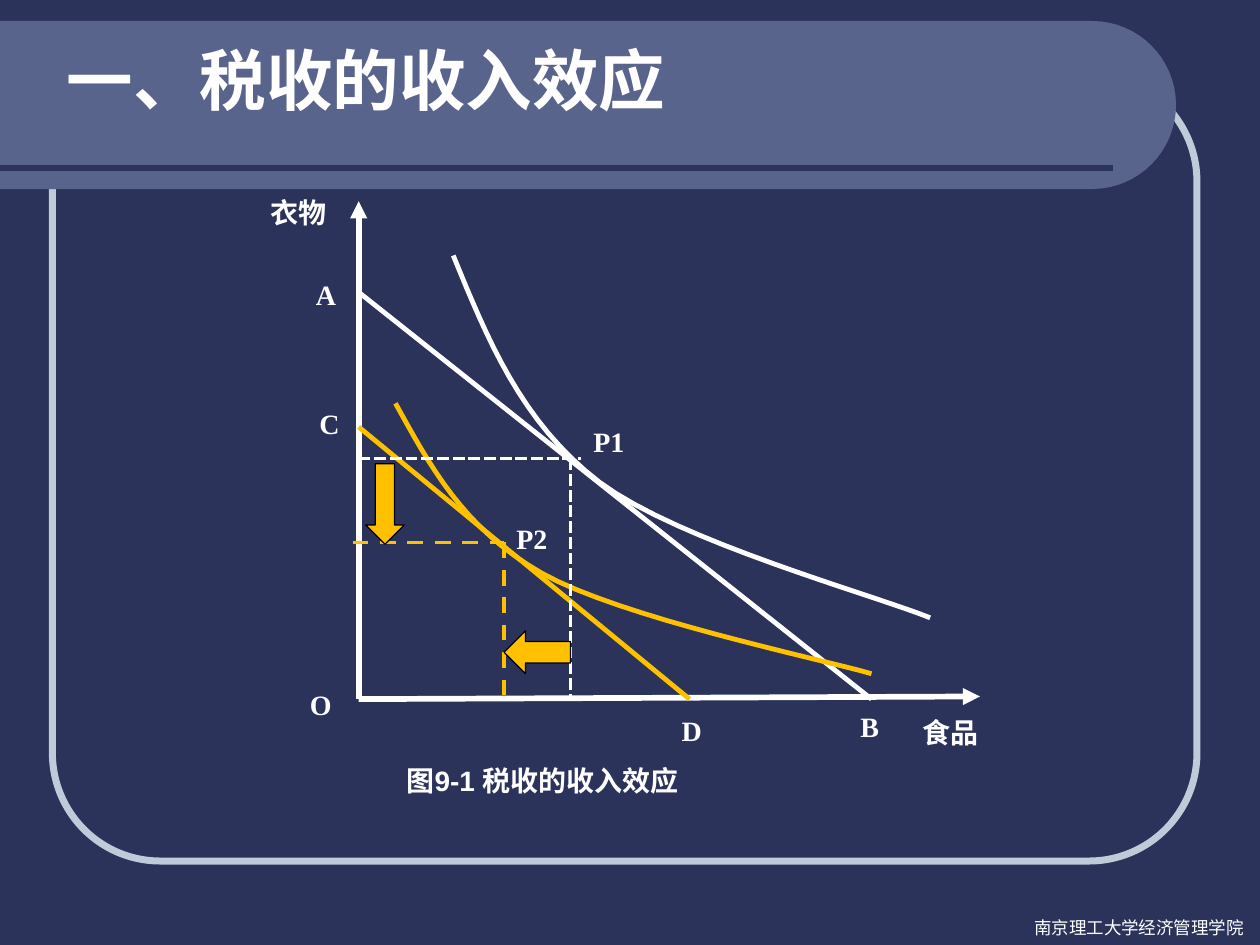
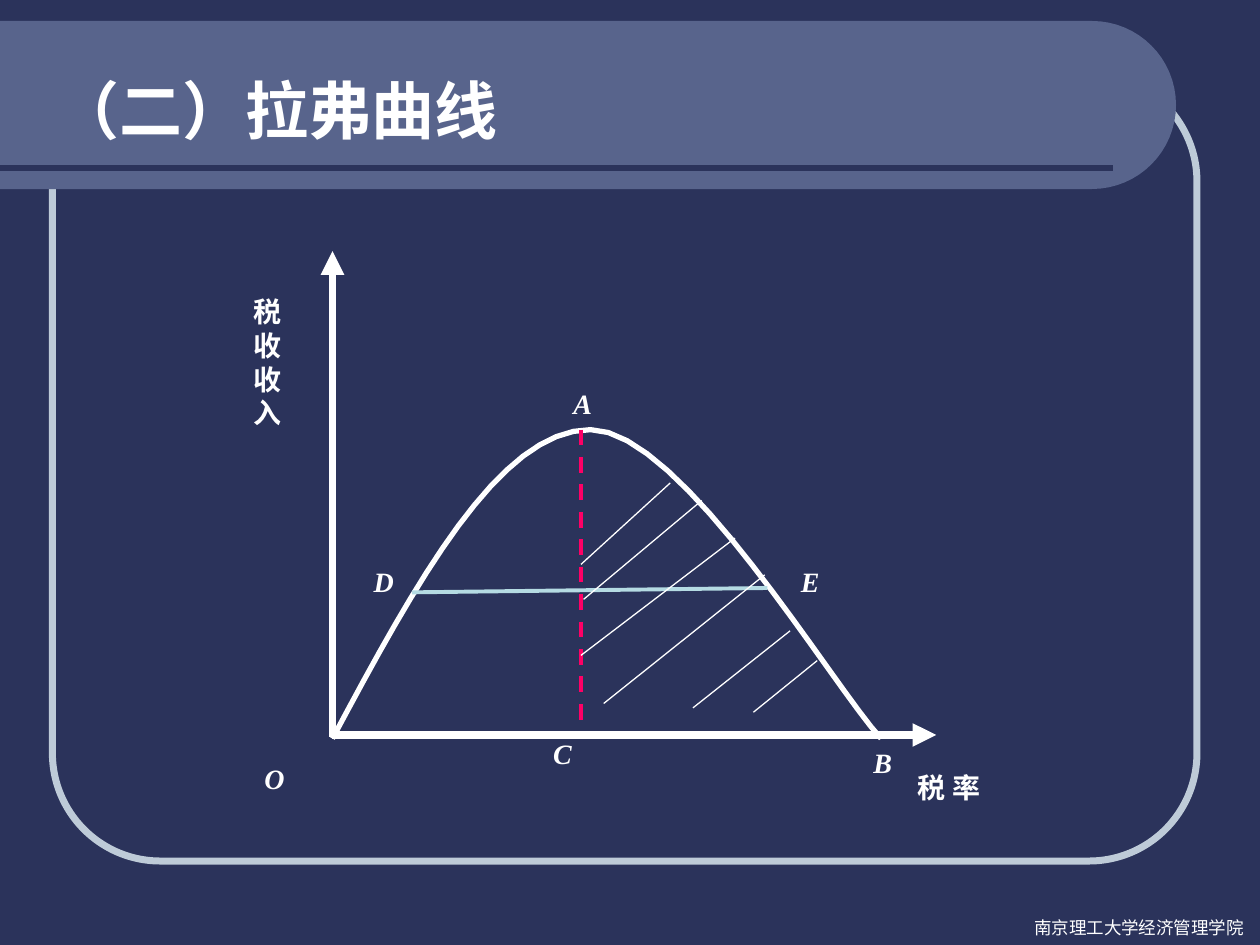
from dataclasses import dataclass

from lxml.etree import SubElement
from pptx import Presentation
from pptx.dml.color import RGBColor
from pptx.enum.dml import MSO_LINE
from pptx.enum.shapes import MSO_CONNECTOR, MSO_SHAPE
from pptx.enum.text import MSO_ANCHOR, PP_ALIGN
from pptx.oxml.ns import qn
from pptx.slide import Slide
from pptx.util import Pt

NAVY = RGBColor(0x2B, 0x33, 0x5B)
SLATE = RGBColor(0x58, 0x64, 0x8C)
MIST = RGBColor(0xBE, 0xCB, 0xD8)
WHITE = RGBColor(0xFF, 0xFF, 0xFF)
BLACK = RGBColor(0x00, 0x00, 0x00)
GOLD = RGBColor(0xFF, 0xC0, 0x00)
AQUA = RGBColor(0xB5, 0xDB, 0xE3)
PINK = RGBColor(0xFF, 0x00, 0x66)

SANS = "Arial"
SERIF = "Times New Roman"
STEPS = 16  # straight pieces per curve segment

Point = tuple[float, float]
Box = tuple[float, float, float, float]


@dataclass
class Label:
    text: str
    box: Box
    size: float = 16
    font: str = SERIF
    bold: bool = True
    slant: bool = False
    align: PP_ALIGN = PP_ALIGN.JUSTIFY
    anchor: MSO_ANCHOR = MSO_ANCHOR.TOP


@dataclass
class Line:
    start: Point
    end: Point
    color: RGBColor = WHITE
    width: float = 2.25
    dash: MSO_LINE | None = None
    arrow: bool = False


@dataclass
class Curve:
    knots: list[Point]  # start, then two handles and an end per segment
    color: RGBColor = WHITE
    width: float = 2.75


@dataclass
class Arrow:
    kind: MSO_SHAPE
    box: Box


def draw_label(slide: Slide, label: Label) -> None:
    frame = slide.shapes.add_textbox(*map(Pt, label.box)).text_frame
    frame.word_wrap = True
    frame.vertical_anchor = label.anchor
    para = frame.paragraphs[0]
    para.text = label.text
    para.alignment = label.align
    font = para.font
    font.name, font.size = label.font, Pt(label.size)
    font.bold, font.italic = label.bold, label.slant
    font.color.rgb = WHITE


def draw_line(slide: Slide, line: Line) -> None:
    shape = slide.shapes.add_connector(
        MSO_CONNECTOR.STRAIGHT, *map(Pt, line.start + line.end))
    shape.line.color.rgb = line.color
    shape.line.width = Pt(line.width)
    if line.dash:
        shape.line.dash_style = line.dash
    props = shape._element.spPr
    if line.arrow:
        SubElement(props.find(qn("a:ln")), qn("a:tailEnd"), type="triangle")
    SubElement(props, qn("a:effectLst"))


def trace(knots: list[Point]) -> list[Point]:
    """Points along a chain of cubic curves, without the first knot."""
    points = []
    for i in range(0, len(knots) - 1, 3):
        for step in range(1, STEPS + 1):
            t = step / STEPS
            s = 1 - t
            parts = (s**3, 3 * s * s * t, 3 * s * t * t, t**3)
            points.append(tuple(
                sum(part * knot[axis] for part, knot in zip(parts, knots[i:i + 4]))
                for axis in (0, 1)))
    return points


def draw_path(slide: Slide, points: list[Point], close: bool):
    first, *rest = [(Pt(x), Pt(y)) for x, y in points]
    maker = slide.shapes.build_freeform(*first)
    maker.add_line_segments(rest, close=close)
    shape = maker.convert_to_shape()
    shape.shadow.inherit = False
    return shape


def draw_curve(slide: Slide, curve: Curve) -> None:
    shape = draw_path(slide, [curve.knots[0], *trace(curve.knots)], False)
    shape.fill.background()
    shape.line.color.rgb = curve.color
    shape.line.width = Pt(curve.width)


def draw_arrow(slide: Slide, arrow: Arrow) -> None:
    shape = slide.shapes.add_shape(arrow.kind, *map(Pt, arrow.box))
    shape.shadow.inherit = False
    shape.fill.solid()
    shape.fill.fore_color.rgb = GOLD
    shape.line.color.rgb = BLACK
    shape.line.width = Pt(0.75)


DRAW = {Label: draw_label, Line: draw_line, Curve: draw_curve, Arrow: draw_arrow}


def draw_base(slide: Slide) -> None:
    """Background, frame, title band and footer shared by the slides."""
    back = slide.background.fill
    back.solid()
    back.fore_color.rgb = NAVY

    frame = slide.shapes.add_shape(
        MSO_SHAPE.ROUNDED_RECTANGLE, *map(Pt, (30, 42, 654, 450)))
    frame.adjustments[0] = 0.137
    frame.shadow.inherit = False
    frame.fill.background()
    frame.line.color.rgb = MIST
    frame.line.width = Pt(4)

    cap = [(624, 12), (650.5, 12), (672, 33.5), (672, 60),
           (672, 86.5), (650.5, 108), (624, 108)]
    band = draw_path(slide, [(0, 12), cap[0], *trace(cap), (0, 108)], True)
    band.fill.solid()
    band.fill.fore_color.rgb = SLATE
    band.line.fill.background()

    draw_line(slide, Line((0, 96), (636, 96), NAVY, 3))
    draw_label(slide, Label("南京理工大学经济管理学院", (584, 520.5, 136, 19.5),
                            10, SANS, bold=False, align=PP_ALIGN.LEFT))


def title(text: str, box: Box, size: float, anchor: MSO_ANCHOR) -> Label:
    return Label(text, box, size, SANS, align=PP_ALIGN.LEFT, anchor=anchor)


# Income effect: budget lines AB and CD with their indifference curves
INCOME = [
    title("一、税收的收入效应", (31, 0, 648, 90), 38, MSO_ANCHOR.MIDDLE),
    Label("食品", (520, 405.5, 104, 39)),
    Label("衣物", (147.5, 108, 63.5, 65)),
    Label("P1", (332, 239, 37.5, 24)),
    Label("P2", (288, 294.5, 62.5, 31.5)),
    Label("A", (173.5, 155, 33, 22)),
    Label("B", (484.5, 402, 29.5, 45)),
    Label("C", (175.5, 229, 31, 33)),
    Label("D", (382.5, 404, 30, 33)),
    Label("O", (170, 389.5, 62.5, 39)),
    Label("图9-1 税收的收入效应", (222.5, 432.5, 175, 26.5), font=SANS,
          align=PP_ALIGN.CENTER, anchor=MSO_ANCHOR.MIDDLE),
    # axes
    Line((205, 399.5), (205, 115), width=3.25, arrow=True),
    Line((205, 399.5), (560, 398), width=3.25, arrow=True),
    # before tax
    Line((205, 167), (498, 399.5), width=2.75),
    Curve([(259, 146), (278.5, 193.5), (297.5, 241), (342.5, 275.5),
           (388, 309.5), (499.5, 340), (531.5, 353)]),
    # after tax
    Line((205, 244), (394, 399.5), GOLD, 2.75),
    Curve([(226, 230.5), (245.5, 265.5), (264, 301.5), (309.5, 327.5),
           (355, 353), (466.5, 376), (498, 385)], GOLD),
    # guides to the axes
    Line((201.5, 310), (288, 310), GOLD, dash=MSO_LINE.DASH),
    Line((288, 310), (288, 401.5), GOLD, dash=MSO_LINE.DASH),
    Line((205, 262), (332, 262), dash=MSO_LINE.SQUARE_DOT),
    Line((326, 262), (326, 399.5), dash=MSO_LINE.SQUARE_DOT),
    Arrow(MSO_SHAPE.LEFT_ARROW, (288, 360.5, 38, 24.5)),
    Arrow(MSO_SHAPE.DOWN_ARROW, (209, 265, 22, 46)),
]

# Hatching right of the peak
HATCH = [
    ((333.5, 342.5), (401, 286)),
    ((332, 374.5), (420, 307.5)),
    ((345, 402), (437, 328.5)),
    ((396, 404.5), (451.5, 360.5)),
    ((430.5, 407), (467, 377.5)),
    ((332, 322.5), (383, 276)),
]

# Tax revenue against tax rate
LAFFER = [
    title("（二）拉弗曲线", (25, 37.5, 561.5, 51), 36, MSO_ANCHOR.TOP),
    Curve([(190, 422), (237.5, 333.5), (285, 245.5), (337.5, 245.5),
           (389.5, 245.5), (476, 392.5), (503.5, 422)], width=3),
    Line((235.5, 338.5), (438.5, 336), AQUA),
    Line((332, 245.5), (332, 421), PINK, dash=MSO_LINE.DASH),
    # axes
    Line((190, 421), (190, 143.5), width=4.5, arrow=True),
    Line((189.5, 420), (535, 420), width=4.5, arrow=True),
    *(Line(start, end, width=0.75) for start, end in HATCH),
    Label("税收收入", (138, 165, 34, 51)),
    Label("税 率", (517.5, 437, 58.5, 20)),
    Label("A", (320.5, 217.5, 55.5, 33), slant=True),
    Label("B", (492, 422.5, 55.5, 33), slant=True),
    Label("C", (309, 417.5, 55.5, 33), slant=True),
    Label("D", (206.5, 319, 27.5, 23), slant=True),
    Label("E", (448, 319, 30, 26.5), slant=True, align=PP_ALIGN.CENTER),
    Label("O", (144, 431.5, 23, 22.5), slant=True),
]


def main() -> None:
    deck = Presentation()
    deck.slide_width, deck.slide_height = Pt(720), Pt(540)
    for parts in (INCOME, LAFFER):
        slide = deck.slides.add_slide(deck.slide_layouts[6])
        draw_base(slide)
        for part in parts:
            DRAW[type(part)](slide, part)
    deck.save("out.pptx")


if __name__ == "__main__":
    main()
